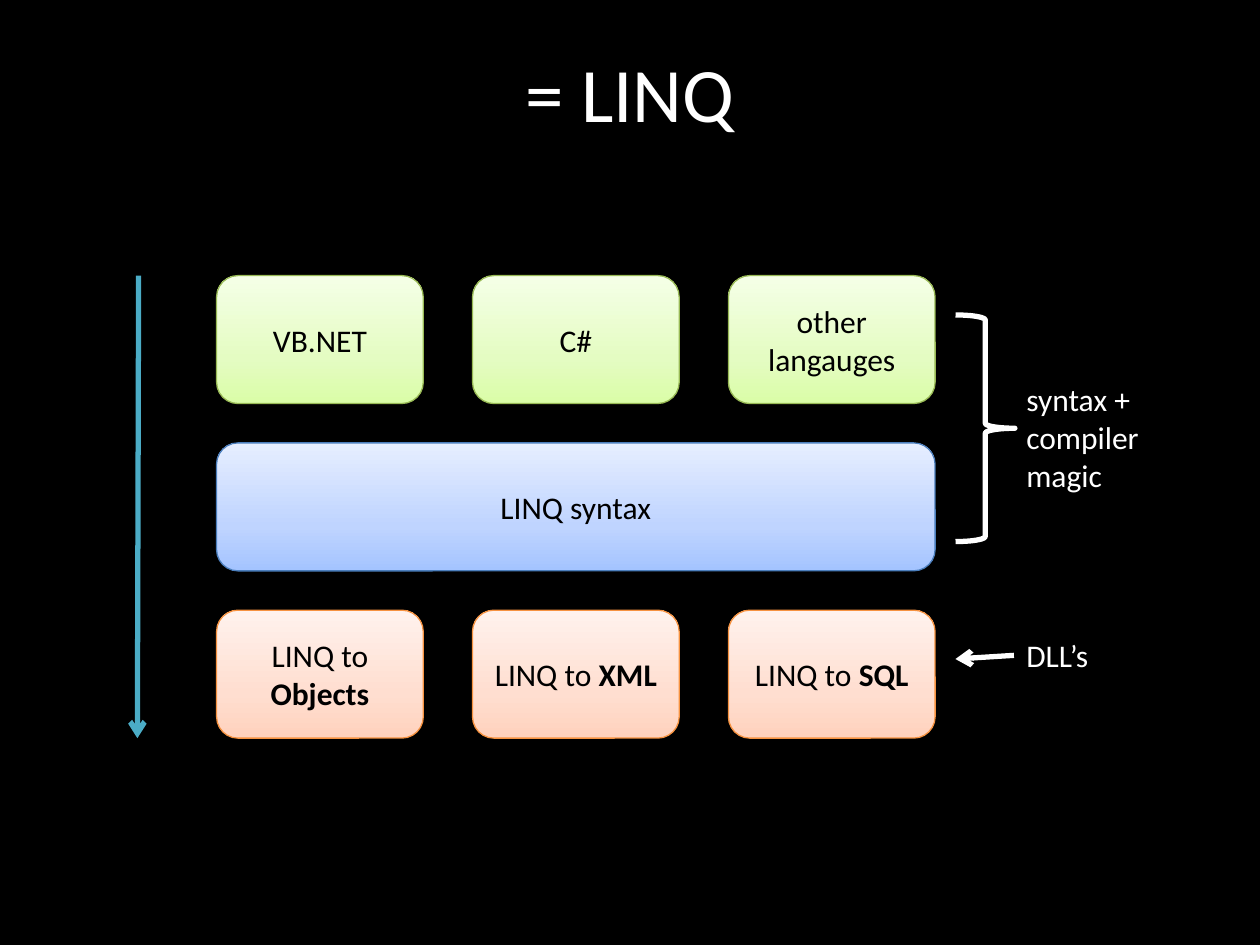
"""Build the LINQ architecture slide."""
from dataclasses import dataclass

import lxml.etree
import pptx
import pptx.dml.color
import pptx.enum.shapes
import pptx.enum.text
import pptx.oxml
import pptx.oxml.ns
import pptx.util

Pt = pptx.util.Pt
SHAPE = pptx.enum.shapes.MSO_SHAPE
ALIGN = pptx.enum.text.PP_ALIGN
ANCHOR = pptx.enum.text.MSO_ANCHOR


@dataclass(frozen=True)
class Theme:
    """Colours, font and sizes; a layer is bottom, middle, top and outline."""
    font: str = "Calibri"
    title_size: int = 44
    body_size: int = 18
    background: str = "000000"
    dark: str = "000000"
    light: str = "FFFFFF"
    flow: str = "4BACC6"
    languages: tuple = ("DAFDA7", "E4FCC2", "F5FFE7", "98B955")
    syntax: tuple = ("A4C4FF", "BFD4FF", "E6EEFF", "4B7EBC")
    providers: tuple = ("FFD2BD", "FFDED0", "FFF2ED", "F69240")


def rgb(code):
    """Turn a hex code into a colour."""
    return pptx.dml.color.RGBColor.from_string(code)


class Diagram:
    """Draws themed elements on one slide."""

    def __init__(self, slide, theme):
        """Keep the slide and theme, and paint the background."""
        self.shapes = slide.shapes
        self.theme = theme
        slide.background.fill.solid()
        slide.background.fill.fore_color.rgb = rgb(theme.background)

    def add_runs(self, frame, runs, color, size, align):
        """Put (text, bold) runs into one paragraph."""
        frame.word_wrap = True
        paragraph = frame.paragraphs[0]
        paragraph.alignment = align
        for text, bold in runs:
            run = paragraph.add_run()
            run.text = text
            run.font.name = self.theme.font
            run.font.size = Pt(size)
            run.font.bold = bold
            run.font.color.rgb = rgb(color)

    def outline(self, line, color, width):
        """Set the colour and width of a line."""
        line.color.rgb = rgb(color)
        line.width = Pt(width)

    def box(self, x, y, w, h, layer, runs):
        """Add a rounded box with a vertical gradient."""
        block = self.shapes.add_shape(
            SHAPE.ROUNDED_RECTANGLE, Pt(x), Pt(y), Pt(w), Pt(h))
        block.shadow.inherit = False
        *stops, edge = layer
        marks = "".join(
            f'<a:gs pos="{pos}"><a:srgbClr val="{code}"/></a:gs>'
            for pos, code in zip((0, 35000, 100000), stops))
        gradient = pptx.oxml.parse_xml(
            f'<a:gradFill {pptx.oxml.ns.nsdecls("a")} rotWithShape="1">'
            f'<a:gsLst>{marks}</a:gsLst><a:lin ang="16200000" scaled="0"/></a:gradFill>')
        block.element.spPr.find(pptx.oxml.ns.qn("a:prstGeom")).addnext(gradient)
        self.outline(block.line, edge, 0.75)
        block.text_frame.vertical_anchor = ANCHOR.MIDDLE
        self.add_runs(block.text_frame, runs, self.theme.dark,
                      self.theme.body_size, ALIGN.CENTER)

    def label(self, x, y, w, h, text, size, align=ALIGN.LEFT):
        """Add light text straight on the background."""
        caption = self.shapes.add_textbox(Pt(x), Pt(y), Pt(w), Pt(h))
        self.add_runs(caption.text_frame, [(text, False)], self.theme.light, size, align)

    def brace(self, x, y, w, h):
        """Add a right brace."""
        bracket = self.shapes.add_shape(
            SHAPE.RIGHT_BRACE, Pt(x), Pt(y), Pt(w), Pt(h))
        bracket.shadow.inherit = False
        bracket.fill.background()
        self.outline(bracket.line, self.theme.light, 3)

    def arrow(self, x1, y1, x2, y2, color):
        """Add a straight arrow pointing at its second end."""
        pointer = self.shapes.add_connector(
            pptx.enum.shapes.MSO_CONNECTOR.STRAIGHT, Pt(x1), Pt(y1), Pt(x2), Pt(y2))
        self.outline(pointer.line, color, 3)
        qn = pptx.oxml.ns.qn
        properties = pointer.element.spPr
        lxml.etree.SubElement(properties.find(qn("a:ln")), qn("a:tailEnd"), type="arrow")
        lxml.etree.SubElement(properties, qn("a:effectLst"))


def build():
    """Lay out the slide and save it."""
    deck = pptx.Presentation()
    deck.slide_width, deck.slide_height = Pt(720), Pt(540)
    theme = Theme()
    diagram = Diagram(deck.slides.add_slide(deck.slide_layouts[6]), theme)

    left, top, width, height = 123.75, 157.5, 118.13, 73.13
    column_step, row_step = 146.25, 95.6
    note_left, pointer_left = 579.4, 546
    bottom = top + 2 * row_step + height

    diagram.label(36, 22.5, 648, 90, "= LINQ", theme.title_size, ALIGN.CENTER)

    languages = [[(name, False)] for name in ("VB.NET", "C#", "other langauges")]
    providers = [[("LINQ to ", False), (name, True)]
                 for name in ("Objects", "XML", "SQL")]
    rows = [(theme.languages, width, languages),
            (theme.syntax, 2 * column_step + width, [[("LINQ syntax", False)]]),
            (theme.providers, width, providers)]
    for row, (layer, box_width, entries) in enumerate(rows):
        for column, runs in enumerate(entries):
            diagram.box(left + column * column_step, top + row * row_step,
                        box_width, height, layer, runs)

    diagram.arrow(79.2, top, 78.5, bottom, theme.flow)
    diagram.label(note_left, 213.8, width, 72.7, "syntax + compiler magic",
                  theme.body_size)
    diagram.label(note_left, 360, width, 29, "DLL’s", theme.body_size)
    diagram.brace(pointer_left, 180, 34, 129.5)
    diagram.arrow(note_left, 374.5, pointer_left, 376.6, theme.light)

    deck.save("out.pptx")


build()
